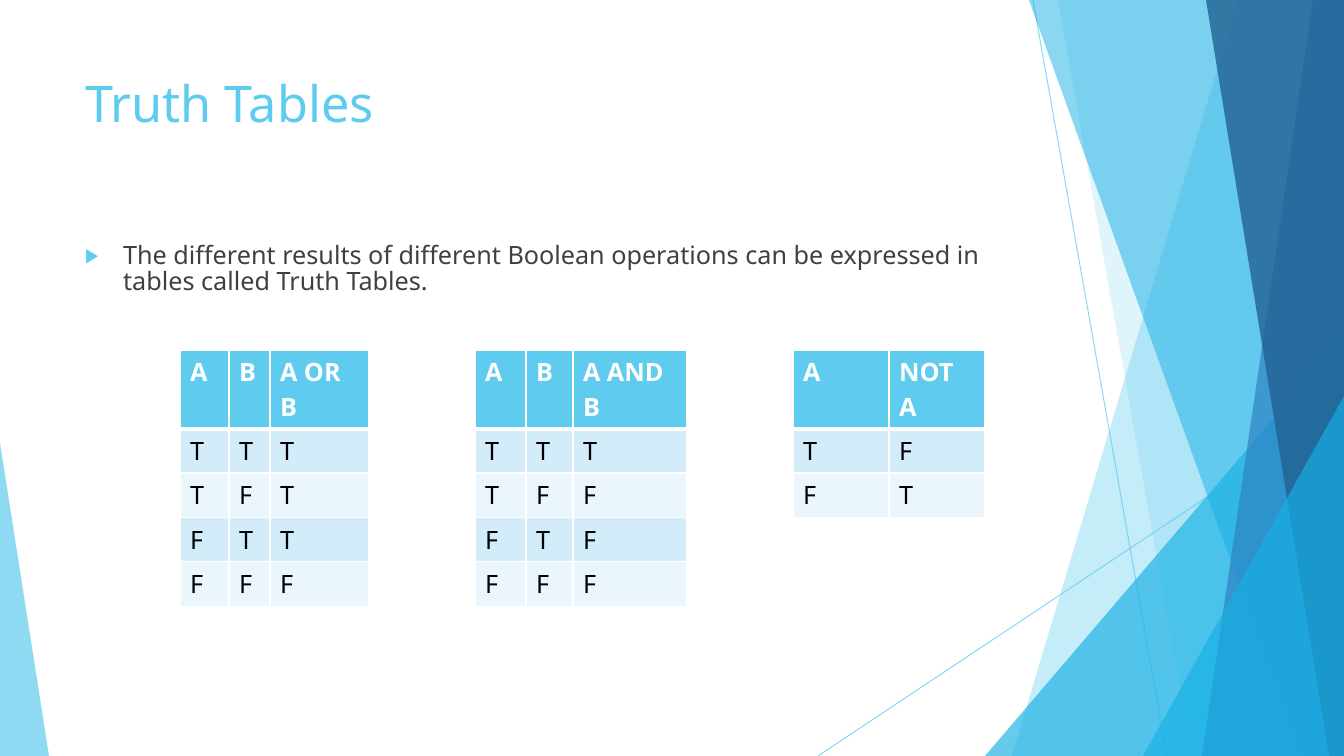
import pptx
import pptx.util
import pptx.dml.color
import pptx.enum.shapes
import pptx.enum.text
import pptx.oxml
import pptx.oxml.ns
from lxml import etree

RGB = pptx.dml.color.RGBColor
SKY = RGB(0x5F, 0xCB, 0xEF)
CYAN = RGB(0x17, 0xB0, 0xE4)
BLUE = RGB(0x2E, 0x83, 0xC3)
NAVY = RGB(0x22, 0x62, 0x92)
GRAY = RGB(0x40, 0x40, 0x40)
WHITE = RGB(0xFF, 0xFF, 0xFF)
BLACK = RGB(0, 0, 0)
BANDS = [RGB(0xD2, 0xEC, 0xF9), RGB(0xEA, 0xF6, 0xFC)]
FONT = "Noto Sans"
PX = 914400 / 100.8
W, H = 1344, 756

TITLE = "Truth Tables"
BODY = ("The different results of different Boolean operations can be "
        "expressed in tables called Truth Tables.")
TABLES = [
    (475, [51, 47, 114], [["A", "B", "A AND B"], "TTT", "TFF", "FTF", "FFF"]),
    (180, [49, 41, 99], [["A", "B", "A OR B"], "TTT", "TFT", "FTT", "FFF"]),
    (793, [96, 96], [["A", "NOT A"], "TF", "FT"]),
]
TABLE_TOP, ROW_H = 350, 41
RAYS = [(1033, 0, 1167, H), (W, 406, 818, H)]
BAND, TRIANGLE = "band", "triangle"
FACETS = [
    (BAND, (1238, 1012), SKY, 36),
    (BAND, (1058, 1192), SKY, 20),
    (TRIANGLE, (985, 336, 359, 420, 1), CYAN, 66),
    (BAND, (1029, 1301), CYAN, 50),
    (BAND, (1313, 1202), BLUE, 70),
    (BAND, (1206, 1329), NAVY, 80),
    (TRIANGLE, (1143, 396, 201, 360, 1), CYAN, 66),
    (TRIANGLE, (0, 443, 49, 313, 0), SKY, 70),
]

qn = pptx.oxml.ns.qn
NS = pptx.oxml.ns.nsdecls("a")


def px(*values):
    return [pptx.util.Emu(round(v * PX)) for v in values]


def set_alpha(shape, percent):
    color = next(shape._element.spPr.iter(qn("a:srgbClr")))
    etree.SubElement(color, qn("a:alpha")).set("val", str(percent * 1000))


def add_run(p, text, size, color, bold=False):
    r = p.add_run()
    r.text = text
    r.font.name = FONT
    r.font.size = pptx.util.Pt(size)
    r.font.bold = bold
    r.font.color.rgb = color


def add_ray(s, ends):
    line = s.shapes.add_connector(pptx.enum.shapes.MSO_CONNECTOR.STRAIGHT, *px(*ends))
    line.line.color.rgb = SKY
    line.line.width = pptx.util.Pt(0.75)
    set_alpha(line, 70)
    etree.SubElement(line._element.spPr, qn("a:effectLst"))


def add_facet(s, kind, geometry, color, percent):
    if kind == BAND:
        top, bottom = geometry
        builder = s.shapes.build_freeform(top, 0, PX)
        builder.add_line_segments([(W, 0), (W, H), (bottom, H)], close=True)
        shape = builder.convert_to_shape()
    else:
        *box, apex = geometry
        shape = s.shapes.add_shape(
            pptx.enum.shapes.MSO_SHAPE.ISOSCELES_TRIANGLE, *px(*box))
        shape.adjustments[0] = apex
    shape.shadow.inherit = False
    shape.fill.solid()
    shape.fill.fore_color.rgb = color
    shape.line.fill.background()
    set_alpha(shape, percent)


def style_cell(cell, text, row):
    head = row == 0
    widths = {"L": 1, "R": 1, "T": 3 if row == 1 else 1, "B": 3 if head else 1}
    for side, width in widths.items():
        cell._tc.get_or_add_tcPr().append(pptx.oxml.parse_xml(
            f'<a:ln{side} {NS} w="{width * 12700}"><a:solidFill>'
            f'<a:srgbClr val="{WHITE}"/></a:solidFill></a:ln{side}>'))
    cell.fill.solid()
    cell.fill.fore_color.rgb = SKY if head else BANDS[(row - 1) % 2]
    add_run(cell.text_frame.paragraphs[0], text, 18, WHITE if head else BLACK, head)


def add_truth_table(s, left, widths, rows):
    box = px(left, TABLE_TOP, sum(widths), ROW_H * len(rows))
    table = s.shapes.add_table(len(rows), len(widths), *box).table
    for column, width in zip(table.columns, widths):
        column.width = px(width)[0]
    for i, values in enumerate(rows):
        table.rows[i].height = px(ROW_H)[0]
        for j, text in enumerate(values):
            style_cell(table.cell(i, j), text, i)


def fill_placeholder(sp, box, text, size, color):
    sp.left, sp.top, sp.width, sp.height = px(*box)
    tf = sp.text_frame
    tf.word_wrap = True
    tf.auto_size = pptx.enum.text.MSO_AUTO_SIZE.NONE
    tf.vertical_anchor = pptx.enum.text.MSO_ANCHOR.TOP
    p = tf.paragraphs[0]
    p.alignment = pptx.enum.text.PP_ALIGN.LEFT
    add_run(p, text, size, color)
    return p


prs = pptx.Presentation()
prs.slide_width, prs.slide_height = px(W, H)
s = prs.slides.add_slide(prs.slide_layouts[1])

for ends in RAYS:
    add_ray(s, ends)
for facet in FACETS:
    add_facet(s, *facet)

fill_placeholder(s.shapes.title, (75, 67, 948, 145), TITLE, 36, SKY)
p = fill_placeholder(s.placeholders[1], (75, 238, 948, 427), BODY, 18, GRAY)
p.space_before = pptx.util.Pt(10)
p.line_spacing = 0.88
pPr = p._p.get_or_add_pPr()
indent = px(38)[0]
pPr.set("marL", str(indent))
pPr.set("indent", str(-indent))
for bullet in (f'<a:buClr {NS}><a:srgbClr val="{SKY}"/></a:buClr>',
               f'<a:buSzPct {NS} val="80000"/>',
               f'<a:buFont {NS} typeface="{FONT}"/>',
               f'<a:buChar {NS} char="▶"/>'):
    pPr.append(pptx.oxml.parse_xml(bullet))

for truth_table in TABLES:
    add_truth_table(s, *truth_table)

prs.save("out.pptx")
